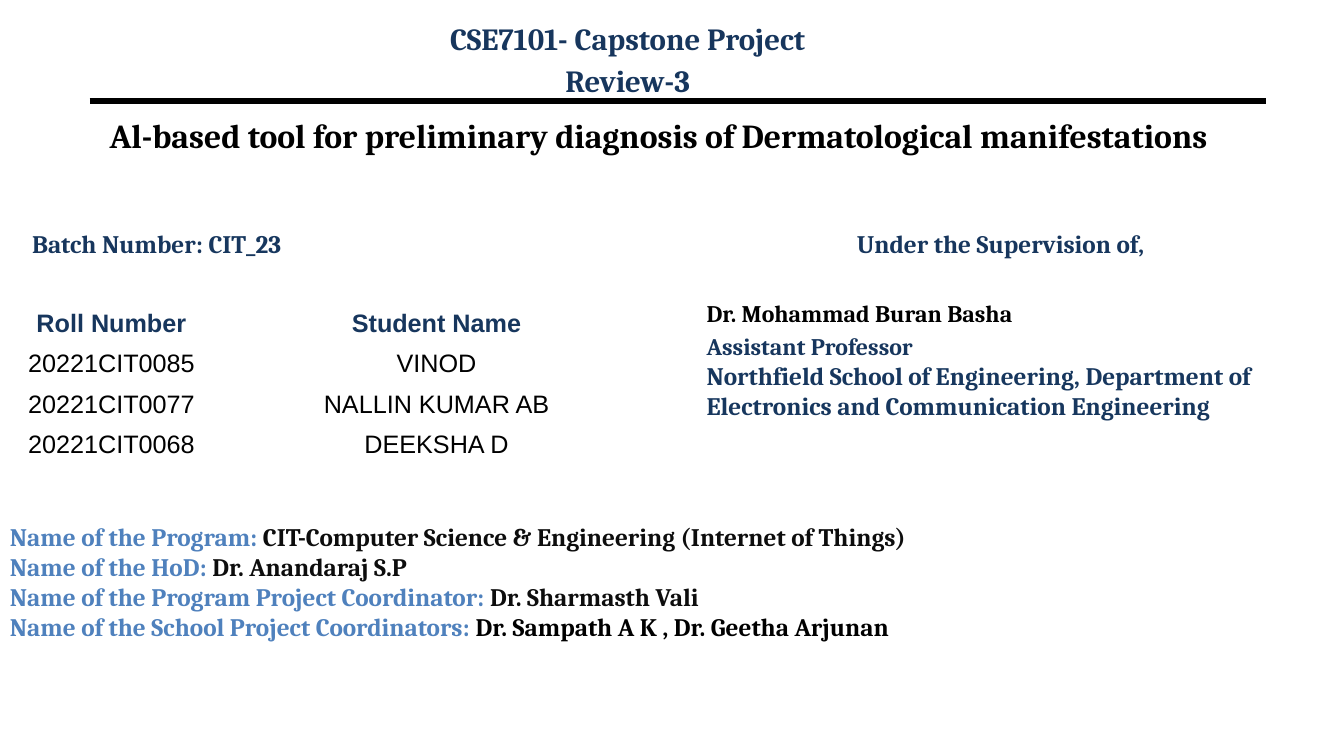
import pptx
import pptx.dml.color
import pptx.enum.shapes
import pptx.enum.text
import pptx.util
from pptx.util import Inches

NAVY, DEEP_NAVY, BLUE = "17365D", "17375E", "4F81BD"
BLACK, SOFT_BLACK = "000000", "0D0D0D"
CENTER = pptx.enum.text.PP_ALIGN.CENTER
LEFT = pptx.enum.text.PP_ALIGN.LEFT
MIDDLE = pptx.enum.text.MSO_ANCHOR.MIDDLE
TOP = pptx.enum.text.MSO_ANCHOR.TOP


def paint(color_format, color):
    """Apply a hex colour to a colour format."""
    color_format.rgb = pptx.dml.color.RGBColor.from_string(color)


def style_paragraph(paragraph, runs, size, align=LEFT, before=0, font="Cambria", bold=True):
    """Fill a paragraph with (text, colour) runs in one font."""
    paragraph.alignment = align
    paragraph.space_before = pptx.util.Pt(before)
    paragraph.font.name = font
    paragraph.font.size = pptx.util.Pt(size)
    paragraph.font.bold = bold
    for text, color in runs:
        run = paragraph.add_run()
        run.text = text
        paint(run.font.color, color)


def add_text(slide, left, top, width, height, lines, anchor=TOP):
    """Add a wrapping text box; each line holds style_paragraph arguments."""
    box = slide.shapes.add_textbox(Inches(left), Inches(top), Inches(width), Inches(height))
    frame = box.text_frame
    frame.word_wrap = True
    frame.vertical_anchor = anchor
    for index, line in enumerate(lines):
        paragraph = frame.add_paragraph() if index else frame.paragraphs[0]
        style_paragraph(paragraph, *line)


def add_rule(slide, left, right, y):
    """Add the thick black rule below the heading."""
    rule = slide.shapes.add_connector(
        pptx.enum.shapes.MSO_CONNECTOR.STRAIGHT,
        Inches(left), Inches(y), Inches(right), Inches(y))
    rule.line.width = pptx.util.Pt(4.5)
    paint(rule.line.color, BLACK)
    effects = pptx.oxml.parse_xml(
        '<a:effectLst xmlns:a="http://schemas.openxmlformats.org/drawingml/2006/main"/>')
    rule.element.spPr.append(effects)


def add_student_table(slide, students):
    """Add the unfilled table of roll numbers and student names."""
    widths = (2.21, 4.24)
    frame = slide.shapes.add_table(
        len(students), len(widths), Inches(0), Inches(3.01), Inches(sum(widths)), Inches(2.4))
    table = frame.table
    table.horz_banding = False
    for column, width in zip(table.columns, widths):
        column.width = Inches(width)
    for row_index, student in enumerate(students):
        table.rows[row_index].height = Inches(0.31)
        header = row_index == 0
        for column_index, text in enumerate(student):
            cell = table.cell(row_index, column_index)
            cell.fill.background()
            cell.vertical_anchor = MIDDLE
            runs = [(text, NAVY if header else BLACK)] if text else []
            style_paragraph(cell.text_frame.paragraphs[0], runs, 18, CENTER, 0, "Arial", header)


def main():
    """Build the capstone review title slide."""
    presentation = pptx.Presentation()
    presentation.slide_width = Inches(13.33)
    presentation.slide_height = Inches(7.5)
    slide = presentation.slides.add_slide(presentation.slide_layouts[6])

    add_rule(slide, 0.89, 12.56, 1)
    add_text(slide, 0.19, 0.81, 12.68, 1.05, [
        ([("Al-based tool for preliminary diagnosis of Dermatological manifestations", BLACK)],
         24, CENTER),
    ], MIDDLE)
    add_text(slide, 0.22, 2.22, 4.8, 0.6, [
        ([("Batch Number: ", NAVY), ("CIT_23", DEEP_NAVY)], 18),
    ])
    add_text(slide, 6.91, 2.22, 6.03, 2.21, [
        ([("Under the Supervision of,", NAVY)], 18, CENTER),
        ([("Dr. Mohammad Buran Basha", BLACK)], 17, LEFT, 28),
        ([("Assistant Professor", NAVY)], 17, LEFT, 3.4),
        ([("Northfield School of Engineering, Department of "
           "Electronics and Communication Engineering", DEEP_NAVY)], 18),
    ])
    add_student_table(slide, [
        ("Roll Number", "Student Name"),
        ("20221CIT0085", "VINOD"),
        ("20221CIT0077", "NALLIN KUMAR AB"),
        ("20221CIT0068", "DEEKSHA D"),
        ("", ""),
        ("", ""),
    ])
    add_text(slide, 3.22, 0.15, 6.01, 0.8, [
        ([("CSE7101- Capstone Project", NAVY)], 22, CENTER),
        ([("Review-3", NAVY)], 22, CENTER, 3.1),
    ])
    program_details = [
        ("Program", "CIT-Computer Science & Engineering (Internet of Things)", SOFT_BLACK),
        ("HoD", "Dr. Anandaraj S.P", SOFT_BLACK),
        ("Program Project Coordinator", "Dr. Sharmasth Vali", SOFT_BLACK),
        ("School Project Coordinators", "Dr. Sampath A K , Dr. Geetha Arjunan", BLACK),
    ]
    add_text(slide, 0, 5.12, 9.4, 1.45, [
        ([(f"Name of the {role}: ", BLUE), (name, color)], 18)
        for role, name, color in program_details
    ])

    presentation.save("out.pptx")


if __name__ == "__main__":
    main()
